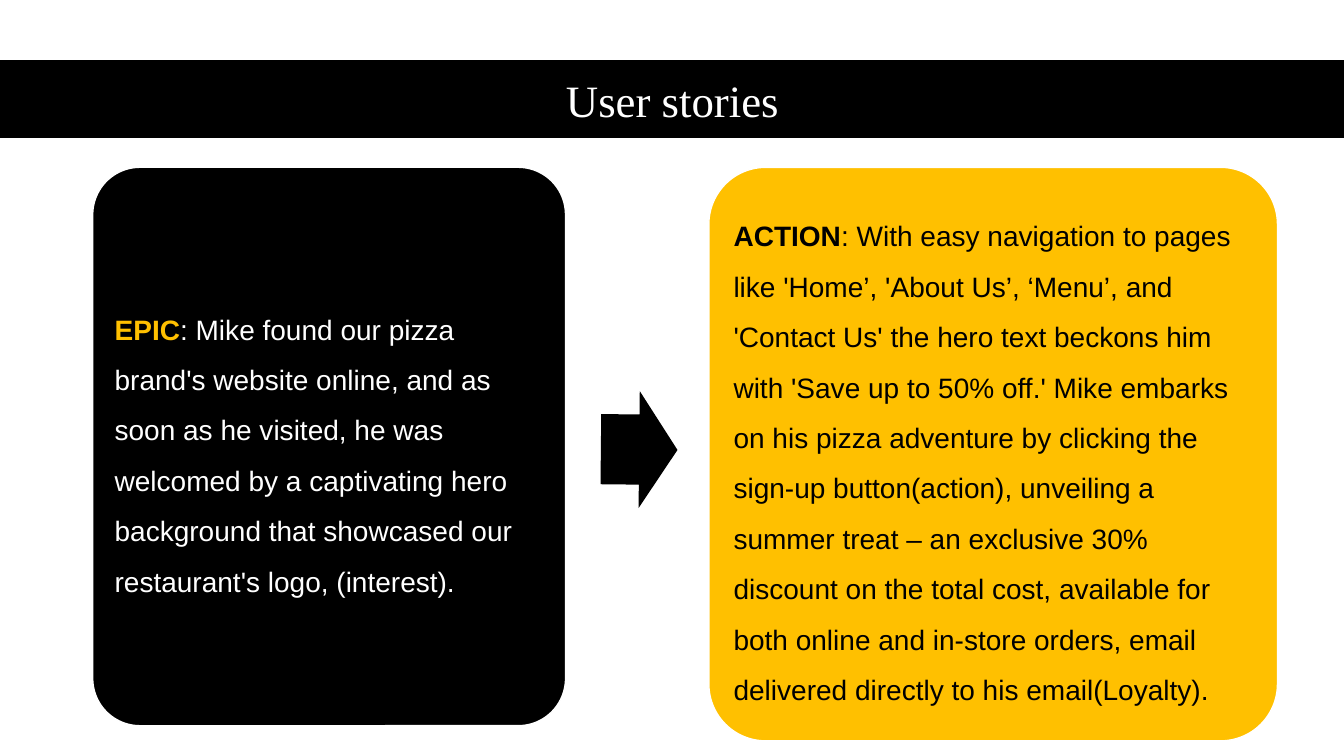
import pptx
import pptx.util
import pptx.dml.color
import pptx.enum.shapes
import pptx.enum.text
from dataclasses import dataclass

TITLE = "User stories"
STORIES = [
    {
        "label": "EPIC",
        "text": ": Mike found our pizza brand's website online, and as soon as he visited, "
                "he was welcomed by a captivating hero background that showcased our "
                "restaurant's logo, (interest).",
        "area": (6.9, 22.13, 35.18, 73.87),
        "colors": ("black", "gold", "white"),
    },
    {
        "label": "ACTION",
        "text": ": With easy navigation to pages like 'Home’, 'About Us’, ‘Menu’, and "
                "'Contact Us' the hero text beckons him with 'Save up to 50% off.' Mike "
                "embarks on his pizza adventure by clicking the sign-up button(action), "
                "unveiling a summer treat – an exclusive 30% discount on the total cost, "
                "available for both online and in-store orders, email delivered directly "
                "to his email(Loyalty).",
        "area": (52.74, 22.13, 42.31, 75.87),
        "colors": ("gold", "black", "black"),
    },
]
BAND_AREA = (0, 8, 100, 10.13)
TITLE_AREA = (6.9, 4, 86.27, 19.33)
ARROW_AREA = (44.71, 51.73, 5.7, 15.47)


@dataclass(frozen=True)
class Theme:
    black: str = "000000"
    white: str = "FFFFFF"
    gold: str = "FFC000"
    title_font: str = "Times New Roman"
    body_font: str = "Arial"
    title_size: int = 32
    body_size: int = 20


THEME = Theme()
SHAPES = pptx.enum.shapes.MSO_SHAPE
ALIGN = pptx.enum.text.PP_ALIGN

presentation = pptx.Presentation()
presentation.slide_width = pptx.util.Inches(13.33)
presentation.slide_height = pptx.util.Inches(7.5)
slide = presentation.slides.add_slide(presentation.slide_layouts[6])


def rgb(name):
    return pptx.dml.color.RGBColor.from_string(getattr(THEME, name))


def place(area):
    sides = (presentation.slide_width, presentation.slide_height) * 2
    return [round(side * share / 100) for side, share in zip(sides, area)]


def add_block(kind, area, fill, line=None):
    shape = slide.shapes.add_shape(kind, *place(area))
    shape.shadow.inherit = False
    shape.fill.solid()
    shape.fill.fore_color.rgb = rgb(fill)
    if line:
        shape.line.color.rgb = rgb(line)
        shape.line.width = pptx.util.Pt(1)
    else:
        shape.line.fill.background()
    return shape


def start_text(shape, alignment, spacing):
    frame = shape.text_frame
    frame.word_wrap = True
    frame.vertical_anchor = pptx.enum.text.MSO_ANCHOR.MIDDLE
    paragraph = frame.paragraphs[0]
    paragraph.alignment = alignment
    paragraph.line_spacing = spacing
    return paragraph


def add_run(paragraph, text, font, size, color, bold=False):
    run = paragraph.add_run()
    run.text = text
    run.font.name = font
    run.font.size = pptx.util.Pt(size)
    run.font.color.rgb = rgb(color)
    run.font.bold = bold


def add_story(story):
    fill, label_color, text_color = story["colors"]
    card = add_block(SHAPES.ROUNDED_RECTANGLE, story["area"], fill, "white")
    card.adjustments[0] = 0.1
    frame = card.text_frame
    frame.margin_left = frame.margin_right = pptx.util.Inches(0.08)
    frame.margin_top = frame.margin_bottom = pptx.util.Inches(0.08)
    paragraph = start_text(card, ALIGN.LEFT, 1.5)
    add_run(paragraph, story["label"], THEME.body_font, THEME.body_size, label_color, True)
    add_run(paragraph, story["text"], THEME.body_font, THEME.body_size, text_color)


add_block(SHAPES.RECTANGLE, BAND_AREA, "black", "black")
title = slide.shapes.add_textbox(*place(TITLE_AREA))
add_run(start_text(title, ALIGN.CENTER, 0.9), TITLE, THEME.title_font, THEME.title_size, "white")

for story in STORIES:
    add_story(story)

arrow = add_block(SHAPES.RIGHT_ARROW, ARROW_AREA, "black")
arrow.adjustments[0] = 0.6
arrow.adjustments[1] = 0.5
arrow.rotation = 0.6

presentation.save("out.pptx")
